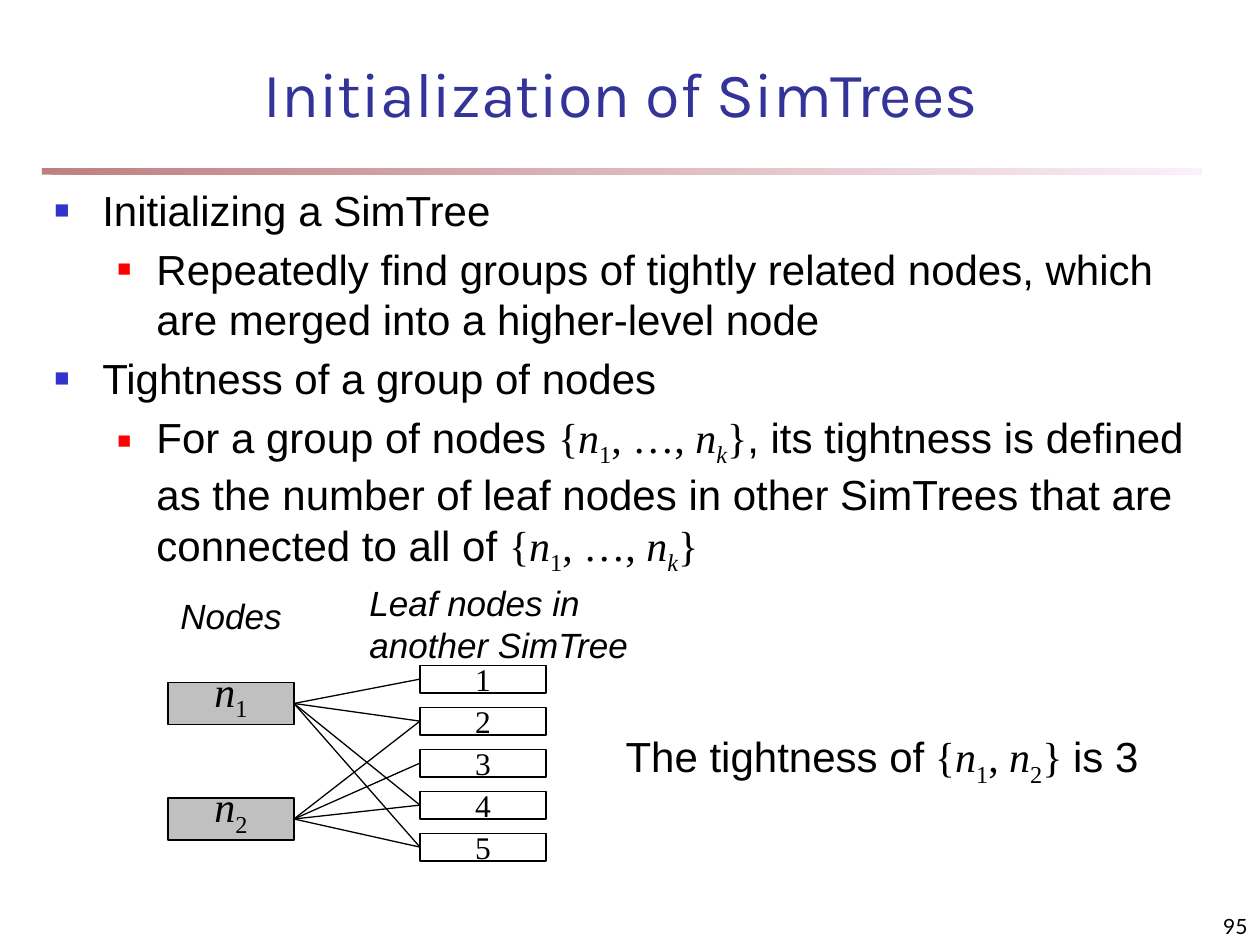
from lxml import etree
from pptx import Presentation
from pptx import util as u
from pptx.dml import color
from pptx.enum import shapes, text
from pptx.oxml import ns

COLORS = {"title": "333399", "text": "000000", "node": "C0C0C0", "leaf": "FFFFFF",
          "bullet": "3333CC", "sub_bullet": "FF0000",
          "rule_start": "800000", "rule_end": "FAE2F6"}
COLS, ROWS = 30, 22.5
SANS, SERIF = "Arial", "Times New Roman"
LEFT, CENTER, RIGHT = text.PP_ALIGN.LEFT, text.PP_ALIGN.CENTER, text.PP_ALIGN.RIGHT
TOP, MIDDLE, BOTTOM = text.MSO_ANCHOR.TOP, text.MSO_ANCHOR.MIDDLE, text.MSO_ANCHOR.BOTTOM


def rgb(name):
    return color.RGBColor.from_string(COLORS[name])


def sans(t, italic=False):
    return t, SANS, italic, False


def serif(t, italic=False, sub=False):
    return t, SERIF, italic, sub


def var(index, italic=False):
    return [serif("n", True), serif(index, italic, True)]


class Deck:
    def __init__(self):
        self.prs = Presentation()
        self.prs.slide_width, self.prs.slide_height = u.Inches(10), u.Inches(7.5)
        self.s = self.prs.slides.add_slide(self.prs.slide_layouts[6])

    def x(self, col):
        return round(self.prs.slide_width * col / COLS)

    def y(self, row):
        return round(self.prs.slide_height * row / ROWS)

    def place(self, box):
        col, row, width, height = box
        return self.x(col), self.y(row), self.x(width), self.y(height)

    def add_runs(self, p, runs, size, tint="text"):
        for words, font, italic, sub in runs:
            r = p.add_run()
            r.text = words
            r.font.name, r.font.size, r.font.italic = font, u.Pt(size), italic
            r.font.color.rgb = rgb(tint)
            if sub:
                r._r.get_or_add_rPr().set("baseline", "-25000")

    def label(self, box, runs, size, align=LEFT, anchor=TOP, tint="text"):
        tf = self.s.shapes.add_textbox(*self.place(box)).text_frame
        tf.word_wrap, tf.vertical_anchor = True, anchor
        tf.paragraphs[0].alignment = align
        self.add_runs(tf.paragraphs[0], runs, size, tint)

    def bullets(self, box, items, size):
        tf = self.s.shapes.add_textbox(*self.place(box)).text_frame
        tf.word_wrap = True
        for i, (level, runs) in enumerate(items):
            p = tf.add_paragraph() if i else tf.paragraphs[0]
            p.level, p.space_before = level, u.Pt(size * 0.2)
            margin, hang, tint, share = [(0.38, 0.38, "bullet", 60),
                                         (0.81, 0.31, "sub_bullet", 55)][level]
            pPr = p._p.get_or_add_pPr()
            pPr.set("marL", str(u.Inches(margin)))
            pPr.set("indent", str(-u.Inches(hang)))
            clr = etree.SubElement(pPr, ns.qn("a:buClr"))
            etree.SubElement(clr, ns.qn("a:srgbClr"), val=COLORS[tint])
            etree.SubElement(pPr, ns.qn("a:buSzPct"), val=str(share * 1000))
            etree.SubElement(pPr, ns.qn("a:buFont"), typeface=SANS)
            etree.SubElement(pPr, ns.qn("a:buChar"), char="■")
            self.add_runs(p, runs, size)

    def rule(self, box):
        sp = self.s.shapes.add_shape(shapes.MSO_SHAPE.RECTANGLE, *self.place(box))
        sp.shadow.inherit = False
        sp.line.fill.background()
        sp.fill.gradient()
        sp.fill.gradient_angle = 0
        for stop, tint in zip(sp.fill.gradient_stops, ("rule_start", "rule_end")):
            stop.color.rgb = rgb(tint)
        for clr in sp._element.spPr.iter(ns.qn("a:srgbClr")):
            etree.SubElement(clr, ns.qn("a:alpha"), val="50000")

    def block(self, box, runs, size, fill, top=0.05, bottom=0.05):
        sp = self.s.shapes.add_shape(shapes.MSO_SHAPE.RECTANGLE, *self.place(box))
        sp.shadow.inherit = False
        sp.fill.solid()
        sp.fill.fore_color.rgb = rgb(fill)
        sp.line.color.rgb, sp.line.width = rgb("text"), u.Pt(0.75)
        tf = sp.text_frame
        tf.word_wrap, tf.vertical_anchor = False, MIDDLE
        tf.margin_top, tf.margin_bottom = u.Inches(top), u.Inches(bottom)
        tf.paragraphs[0].alignment = CENTER
        self.add_runs(tf.paragraphs[0], runs, size)

    def link(self, x1, y1, x2, y2):
        c = self.s.shapes.add_connector(shapes.MSO_CONNECTOR.STRAIGHT, self.x(x1),
                                        self.y(y1), self.x(x2), self.y(y2))
        c.line.color.rgb, c.line.width = rgb("text"), u.Pt(0.75)
        etree.SubElement(c._element.spPr, ns.qn("a:effectLst"))


def main():
    d = Deck()
    d.rule((1, 4, 27.6, 0.16))
    d.label((2, 1.25, 25.56, 2), [("Initialization of SimTrees", "Karla", False, False)],
            36, CENTER, BOTTOM, "title")

    group = [serif("{"), *var("1"), serif(", …, "), *var("k", True), serif("}")]
    d.bullets((1, 4.25, 27.5, 10.25), [
        (0, [sans("Initializing a SimTree")]),
        (1, [sans("Repeatedly find groups of tightly related nodes, which are merged "
                  "into a higher-level node")]),
        (0, [sans("Tightness of a group of nodes")]),
        (1, [sans("For a group of nodes "), *group,
             sans(", its tightness is defined as the number of leaf nodes in other "
                  "SimTrees that are connected to all of "), *group]),
    ], 24)

    node_col, leaf_col, width = 4, 10, 3
    node_rows = {"1": 16.75, "2": 19.5}
    leaf_rows = {n: 15.17 + n for n in range(1, 6)}
    edges = {"1": (1, 2, 4, 5), "2": (2, 3, 4, 5)}
    for n, row in leaf_rows.items():
        d.block((leaf_col, row - 0.33, width, 0.66), [serif(str(n))], 18, "leaf")
    for n, row in node_rows.items():
        d.block((node_col, row - 0.5, width, 1), var(n), 24, "node", 0, 0.15)
        for leaf in edges[n]:
            d.link(node_col + width, row, leaf_col, leaf_rows[leaf])

    d.label((14.5, 17.25, 13, 1.5),
            [sans("The tightness of"), serif(" {"), *var("1"), serif(", "), *var("2"),
             serif("} "), sans("is 3")], 24, CENTER)
    d.label((4, 14, 3.5, 1.32), [sans("Nodes", True)], 20)
    d.label((8.5, 13.7, 6.75, 2.32), [sans("Leaf nodes in another SimTree", True)], 20)
    d.label((23.75, 21.25, 6.25, 1.25), [("95", "Lato", False, False)], 12, RIGHT, BOTTOM)
    d.prs.save("out.pptx")


if __name__ == "__main__":
    main()
